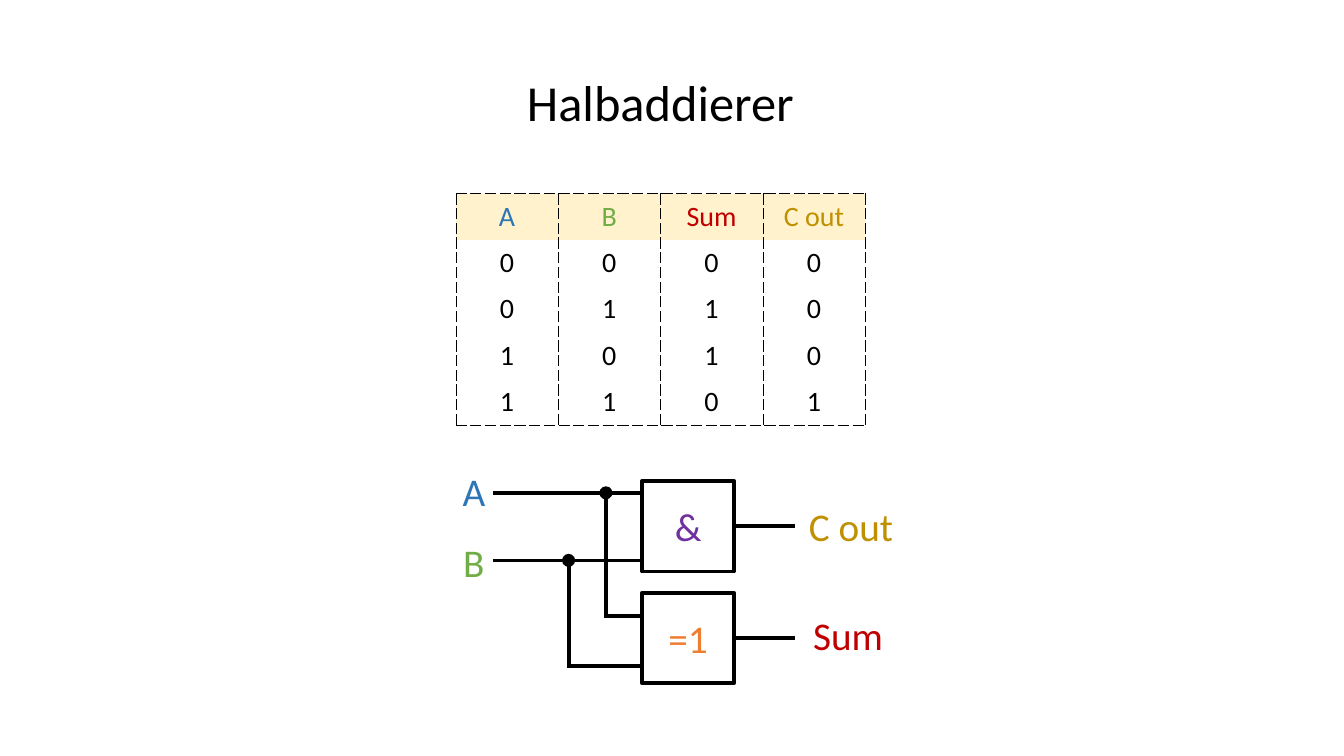
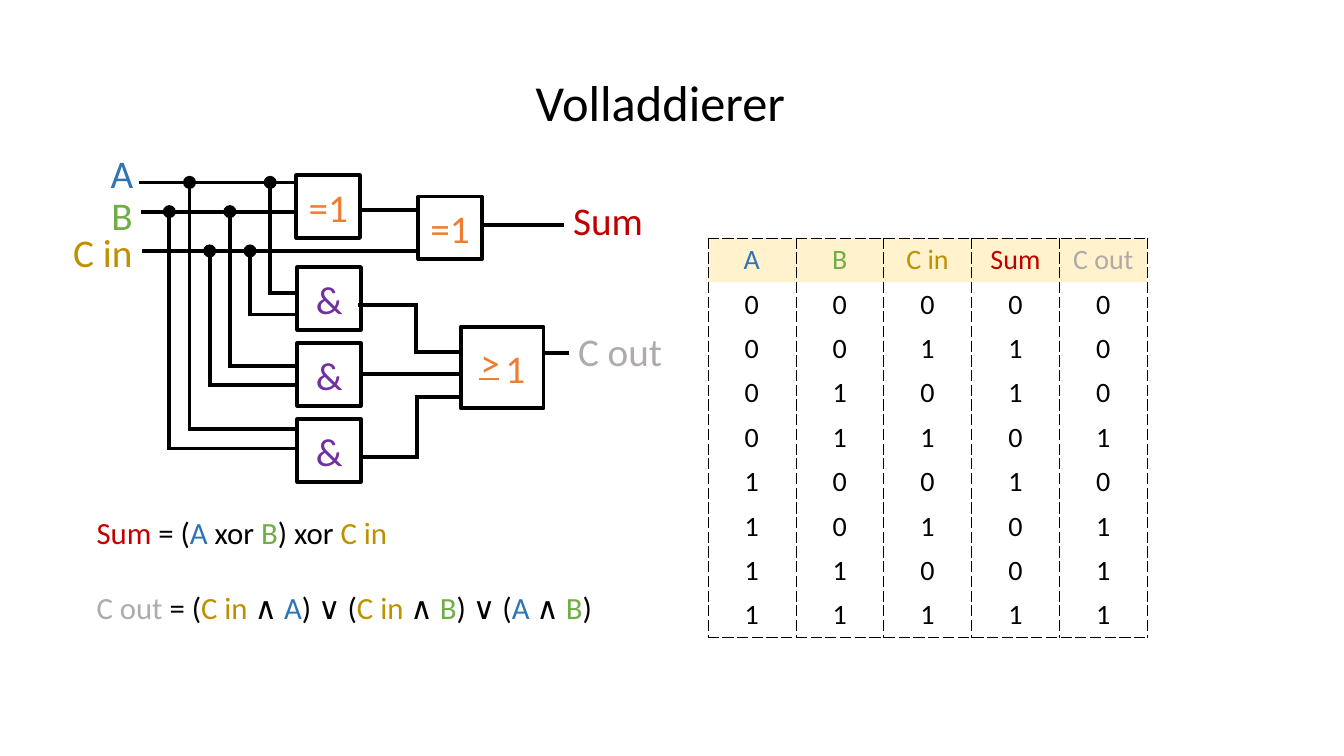
from itertools import pairwise

from lxml.etree import SubElement
from pptx import Presentation
from pptx.dml.color import RGBColor
from pptx.enum.shapes import MSO_CONNECTOR as Connector, MSO_SHAPE as Shape
from pptx.enum.text import MSO_ANCHOR as Anchor, MSO_AUTO_SIZE as AutoSize, PP_ALIGN as Align
from pptx.oxml.ns import qn
from pptx.util import Inches, Pt

FONT = "Calibri"
BLACK, HEADER = "000000", "FFF2CC"
BLUE, GREEN, RED, GOLD, GREY = "2E75B6", "70AD47", "C00000", "BF9000", "AFABAB"
ORANGE, PURPLE = "ED7D31", "7030A0"
PLAIN_TABLE = "{2D5ABB26-0587-4C30-8999-92F81FD0307C}"
WIRE, DOT = 2.75, 0.13
LABEL_SIZE = (1.31, 0.57)
GATE_COLOURS = {"=1": ORANGE, "&": PURPLE}

HALF_ADDER = {
    "title": "Halbaddierer",
    "colours": {"A": BLUE, "B": GREEN, "Sum": RED, "C out": GOLD},
    "table": {
        "at": (4.52, 1.92), "width": 4.06, "row": 0.46,
        "header": ["A", "B", "Sum", "C out"],
        "rows": ["0000", "0110", "1010", "1101"],
    },
    "gates": [("&", 6.37, 4.77, 0.91, 0.9), ("=1", 6.37, 5.88, 0.91, 0.9)],
    "labels": [("A", 4.7, 4.87), ("B", 4.7, 5.57), ("C out", 8.44, 5.22), ("Sum", 8.41, 6.3)],
    "wires": [
        [(4.89, 4.89), (6.37, 4.89)],
        [(4.89, 5.56), (6.37, 5.56)],
        [(7.28, 5.22), (7.89, 5.22)],
        [(7.28, 6.33), (7.89, 6.33)],
    ],
    "taps": {"left": 5.64, "step": 0.37, "gate": 6.37, "ends": [(5.56, 6.61), (4.89, 6.11)]},
}

FULL_ADDER = {
    "title": "Volladdierer",
    "colours": {"A": BLUE, "B": GREEN, "C in": GOLD, "Sum": RED, "C out": GREY},
    "table": {
        "at": (7.02, 2.36), "width": 4.36, "row": 0.44,
        "header": ["A", "B", "C in", "Sum", "C out"],
        "rows": ["00000", "00110", "01010", "01101", "10010", "10101", "11001", "11111"],
    },
    "gates": [
        ("=1", 2.94, 1.74, 0.63, 0.62),
        ("=1", 4.15, 1.95, 0.63, 0.62),
        *[("&", 2.95, 2.65 + 0.755 * row, 0.63, 0.62) for row in range(3)],
        ("", 4.57, 3.24, 0.82, 0.81),
    ],
    "labels": [
        ("A", 1.21, 1.71), ("B", 1.21, 2.13), ("C in", 1.02, 2.5),
        ("Sum", 6.03, 2.18), ("C out", 6.15, 3.48),
    ],
    "wires": [
        [(1.38, 1.81), (2.95, 1.81)],
        [(1.4, 2.1), (2.95, 2.1)],
        [(1.41, 2.49), (4.15, 2.49)],
        [(3.57, 2.08), (4.15, 2.08)],
        [(4.78, 2.23), (5.59, 2.23)],
        [(3.57, 3.03), (4.13, 3.03), (4.13, 3.49), (4.57, 3.49)],
        [(3.59, 3.71), (4.57, 3.71)],
        [(3.6, 4.53), (4.14, 4.53), (4.14, 3.94), (4.57, 3.94)],
        [(5.38, 3.5), (5.64, 3.5)],
    ],
    "taps": {
        "left": 1.68, "step": 0.2, "gate": 2.95,
        "ends": [(2.1, 4.45), (1.81, 4.26), (2.49, 3.82), (2.1, 3.63), (2.49, 3.12), (1.81, 2.91)],
    },
}

FORMULAS = [
    ["Sum", " = (", "A", " xor ", "B", ") xor ", "C in"],
    ["C out", " = (", "C in", " ∧ ", "A", ") ∨ (", "C in", " ∧ ", "B", ") ∨ (", "A", " ∧ ", "B", ")"],
]


def rgb(colour):
    return RGBColor.from_string(colour)


def inches(*lengths):
    return [Inches(length) for length in lengths]


def style(para, size, colour, align=Align.CENTER):
    para.alignment = align
    para.font.name, para.font.size = FONT, Pt(size)
    para.font.color.rgb = rgb(colour)


def add_page(deck, title):
    page = deck.slides.add_slide(deck.slide_layouts[5])
    box = page.shapes.title
    box.left, box.top, box.width, box.height = inches(4.9, 0.65, 3.3, 0.71)
    box.text_frame.text = title
    box.text_frame.auto_size = AutoSize.NONE
    box.text_frame.vertical_anchor = Anchor.MIDDLE
    style(box.text_frame.paragraphs[0], 36, BLACK)
    return page


def add_border(cell, side):
    line = SubElement(cell._tc.get_or_add_tcPr(), qn(f"a:ln{side}"), w=str(Pt(0.25)))
    fill = SubElement(line, qn("a:solidFill"))
    SubElement(fill, qn("a:srgbClr"), val=BLACK)
    SubElement(line, qn("a:prstDash"), val="sysDash")


def add_truth_table(page, content, colours):
    grid = [content["header"], *content["rows"]]
    rows, columns = len(grid), len(grid[0])
    size = (content["width"], content["row"] * rows)
    table = page.shapes.add_table(rows, columns, *inches(*content["at"], *size)).table
    table.horz_banding = False
    table._tbl.tblPr.find(qn("a:tableStyleId")).text = PLAIN_TABLE
    for r, values in enumerate(grid):
        for c, value in enumerate(values):
            cell = table.cell(r, c)
            cell.text = value
            cell.vertical_anchor = Anchor.MIDDLE
            style(cell.text_frame.paragraphs[0], 20, colours.get(value, BLACK))
            cell.text_frame.paragraphs[0].font.bold = False
            for side in "LR" + "T" * (r == 0) + "B" * (r == rows - 1):
                add_border(cell, side)
            if r == 0:
                cell.fill.solid()
                cell.fill.fore_color.rgb = rgb(HEADER)
            else:
                cell.fill.background()


def add_wire(page, points, colour=BLACK, width=WIRE):
    for start, end in pairwise(points):
        wire = page.shapes.add_connector(Connector.STRAIGHT, *inches(*start, *end))
        wire.line.color.rgb = rgb(colour)
        wire.line.width = Pt(width)
        if len(points) > 2:
            wire.line._get_or_add_ln().set("cap", "sq")
        SubElement(wire._element.spPr, qn("a:effectLst"))


def add_dot(page, x, y):
    dot = page.shapes.add_shape(Shape.OVAL, *inches(x - DOT / 2, y - DOT / 2, DOT, DOT))
    dot.shadow.inherit = False
    dot.fill.solid()
    dot.fill.fore_color.rgb = rgb(BLACK)
    dot.line.fill.background()


def add_gate(page, symbol, *place):
    gate = page.shapes.add_shape(Shape.RECTANGLE, *inches(*place))
    gate.shadow.inherit = False
    gate.fill.background()
    gate.line.color.rgb = rgb(BLACK)
    gate.line.width = Pt(WIRE)
    if symbol:
        frame = gate.text_frame
        frame.margin_left = frame.margin_right = frame.margin_top = frame.margin_bottom = 0
        frame.word_wrap = False
        frame.vertical_anchor = Anchor.MIDDLE
        frame.text = symbol
        style(frame.paragraphs[0], 28, GATE_COLOURS[symbol])


def add_label(page, text, x, y, colour):
    width, height = LABEL_SIZE
    box = page.shapes.add_textbox(*inches(x - width / 2, y - height / 2, width, height))
    box.text_frame.word_wrap = True
    box.text_frame.vertical_anchor = Anchor.MIDDLE
    box.text_frame.text = text
    style(box.text_frame.paragraphs[0], 28, colour)


def add_circuit(page, content):
    for gate in content["gates"]:
        add_gate(page, *gate)
    for points in content["wires"]:
        add_wire(page, points)
    taps = content["taps"]
    for index, (source, target) in enumerate(taps["ends"]):
        x = taps["left"] + index * taps["step"]
        add_wire(page, [(x, source), (x, target), (taps["gate"], target)])
        add_dot(page, x, source)
    for text, x, y in content["labels"]:
        add_label(page, text, x, y, content["colours"][text])


def add_or_symbol(page):
    add_label(page, ">", 4.86, 3.59, ORANGE)
    add_label(page, "1", 5.11, 3.65, ORANGE)
    add_wire(page, [(4.75, 3.76), (4.95, 3.76)], ORANGE, 1.75)


def add_formulas(page, colours):
    for index, terms in enumerate(FORMULAS):
        box = page.shapes.add_textbox(*inches(0.86, 5.05 + 0.74 * index, 6.16, 0.47))
        box.text_frame.word_wrap = True
        para = box.text_frame.paragraphs[0]
        style(para, 22, BLACK, Align.LEFT)
        for term in terms:
            span = para.add_run()
            span.text = term
            if term in colours:
                span.font.color.rgb = rgb(colours[term])


def add_adder(deck, content):
    page = add_page(deck, content["title"])
    add_truth_table(page, content["table"], content["colours"])
    add_circuit(page, content)
    return page


def main():
    deck = Presentation()
    deck.slide_width, deck.slide_height = inches(13.33, 7.5)
    add_adder(deck, HALF_ADDER)
    page = add_adder(deck, FULL_ADDER)
    add_or_symbol(page)
    add_formulas(page, FULL_ADDER["colours"])
    deck.save("out.pptx")


if __name__ == "__main__":
    main()
